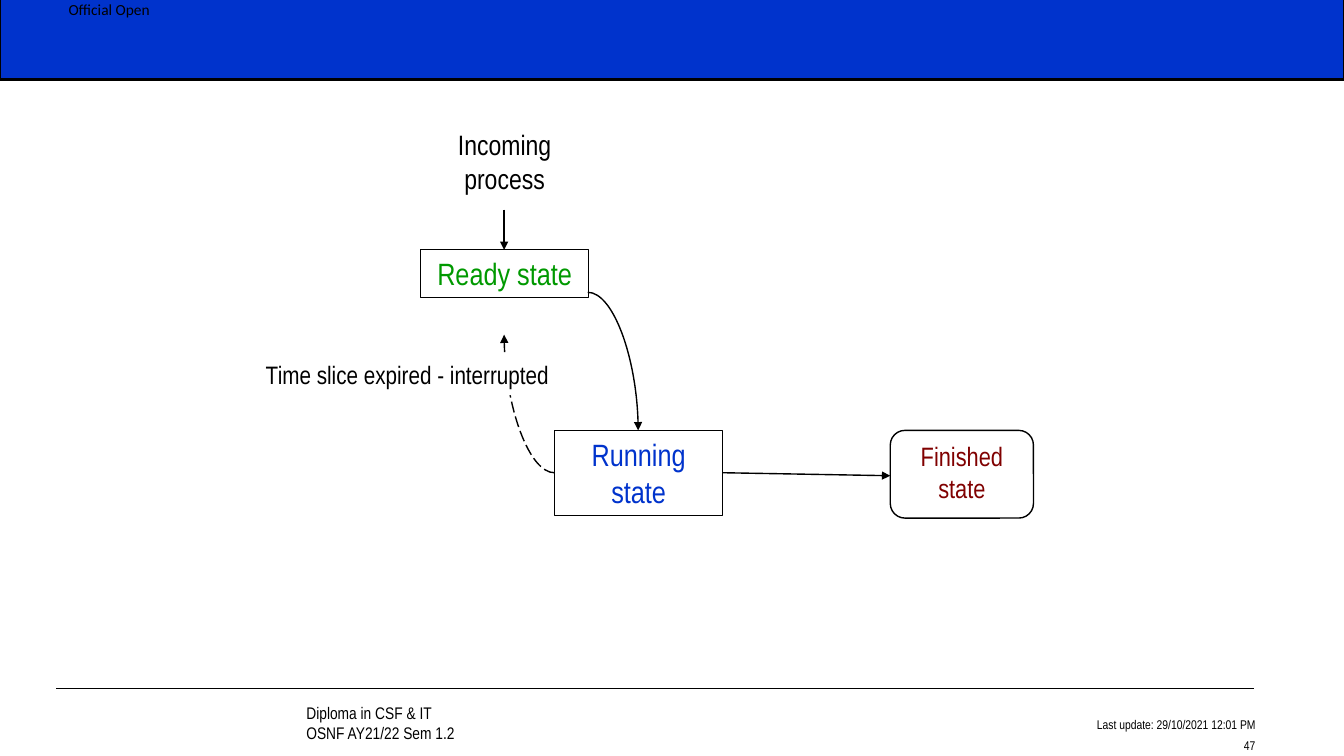
from dataclasses import dataclass
from typing import Optional

from lxml.etree import SubElement
from pptx import Presentation
from pptx.dml.color import RGBColor as Rgb
from pptx.enum.dml import MSO_LINE as Dash
from pptx.enum.shapes import MSO_CONNECTOR as Link, MSO_SHAPE as Form
from pptx.enum.text import MSO_ANCHOR as Anchor, PP_ALIGN as Align
from pptx.oxml.ns import qn
from pptx.util import Inches, Pt

HUES = {
    "black": "000000",
    "white": "FFFFFF",
    "blue": "0033CC",
    "green": "009900",
    "red": "800000",
}
NARROW = "Arial Narrow"


@dataclass
class Box:
    left: float
    top: float
    width: float
    height: float
    text: str = ""
    size: float = 12
    hue: str = "black"
    fill: Optional[str] = None
    edge: float = 0
    form: Optional[Form] = None
    align: Align = Align.CENTER
    anchor: Anchor = Anchor.TOP
    font: str = NARROW
    inset: bool = True
    gap: float = 0


@dataclass
class Line:
    x: float
    y: float
    to_x: float
    to_y: float
    arrow: bool = True
    curve: bool = False
    turn: bool = False
    dash: bool = False


BACK = [
    Box(2.94, 6.94, 6.72, 0.48, "Diploma in CSF & IT\nOSNF AY21/22 Sem 1.2",
        align=Align.LEFT, anchor=Anchor.BOTTOM),
    Box(0, -0.04, 13.33, 0.83, fill="blue", edge=1.5, form=Form.RECTANGLE),
    Box(9.44, 7.05, 3.11, 0.47, "Last update: 29/10/2021 12:01 PM\n47", 9,
        align=Align.RIGHT, anchor=Anchor.BOTTOM, gap=4.5),
    Box(0.68, 0, 1.2, 0.18, "Official Open", 11, align=Align.LEFT,
        font="Calibri", inset=False),
]
LINES = [
    Line(0.56, 6.83, 12.44, 6.83, arrow=False),
    Line(5, 3.32, 5.5, 4.69, curve=True, turn=True, dash=True),
    Line(7.17, 4.69, 8.83, 4.72),
    Line(5, 2.08, 5, 2.48),
    Line(5.83, 2.9, 6.33, 4.27, curve=True),
]
STATES = [
    Box(4.17, 2.48, 1.67, 0.47, "Ready state", 22, "green", edge=0.75,
        form=Form.RECTANGLE),
    Box(5.5, 4.27, 1.67, 0.84, "Running state", 22, "blue", edge=0.75,
        form=Form.RECTANGLE),
    Box(8.83, 4.27, 1.42, 0.87, "Finished state", 19, "red", edge=1,
        form=Form.ROUNDED_RECTANGLE),
    Box(4.17, 1.22, 1.67, 0.77, "Incoming process", 20),
    Box(2.08, 3.52, 3.92, 0.4, "Time slice expired - interrupted", 18,
        fill="white", form=Form.RECTANGLE),
]


def tint(name: str) -> Rgb:
    return Rgb.from_string(HUES[name])


def write(shape, box: Box) -> None:
    frame = shape.text_frame
    frame.word_wrap = True
    frame.vertical_anchor = box.anchor
    if not box.inset:
        frame.margin_left = frame.margin_right = Inches(0)
        frame.margin_top = frame.margin_bottom = Inches(0)
    frame.text = box.text
    for rank, para in enumerate(frame.paragraphs):
        para.alignment = box.align
        para.space_before = Pt(box.gap if rank else 0)
        para.font.name = box.font
        para.font.size = Pt(box.size)
        para.font.color.rgb = tint(box.hue)


def draw(shapes, box: Box) -> None:
    place = [Inches(n) for n in (box.left, box.top, box.width, box.height)]
    if box.form is None:
        shape = shapes.add_textbox(*place)
    else:
        shape = shapes.add_shape(box.form, *place)
        shape.shadow.inherit = False
        if box.fill:
            shape.fill.solid()
            shape.fill.fore_color.rgb = tint(box.fill)
        else:
            shape.fill.background()
        if box.edge:
            shape.line.color.rgb = tint("black")
            shape.line.width = Pt(box.edge)
        else:
            shape.line.fill.background()
    if box.text:
        write(shape, box)


def link(shapes, line: Line) -> None:
    ends = [Inches(n) for n in (line.x, line.y, line.to_x, line.to_y)]
    wire = shapes.add_connector(
        Link.CURVE if line.curve else Link.STRAIGHT, *ends)
    wire.line.color.rgb = tint("black")
    wire.line.width = Pt(1)
    if line.dash:
        wire.line.dash_style = Dash.LONG_DASH
    prop = wire._element.spPr
    if line.curve:
        prop.find(qn("a:prstGeom")).set("prst", "curvedConnector2")
    if line.turn:
        prop.find(qn("a:xfrm")).set("rot", "10800000")
    if line.arrow:
        SubElement(prop.find(qn("a:ln")), qn("a:tailEnd"), type="triangle")
    SubElement(prop, qn("a:effectLst"))


def main() -> None:
    deck = Presentation()
    deck.slide_width = Inches(13.33)
    deck.slide_height = Inches(7.5)
    shapes = deck.slides.add_slide(deck.slide_layouts[6]).shapes
    for box in BACK:
        draw(shapes, box)
    for line in LINES:
        link(shapes, line)
    for box in STATES:
        draw(shapes, box)
    deck.save("out.pptx")


if __name__ == "__main__":
    main()
